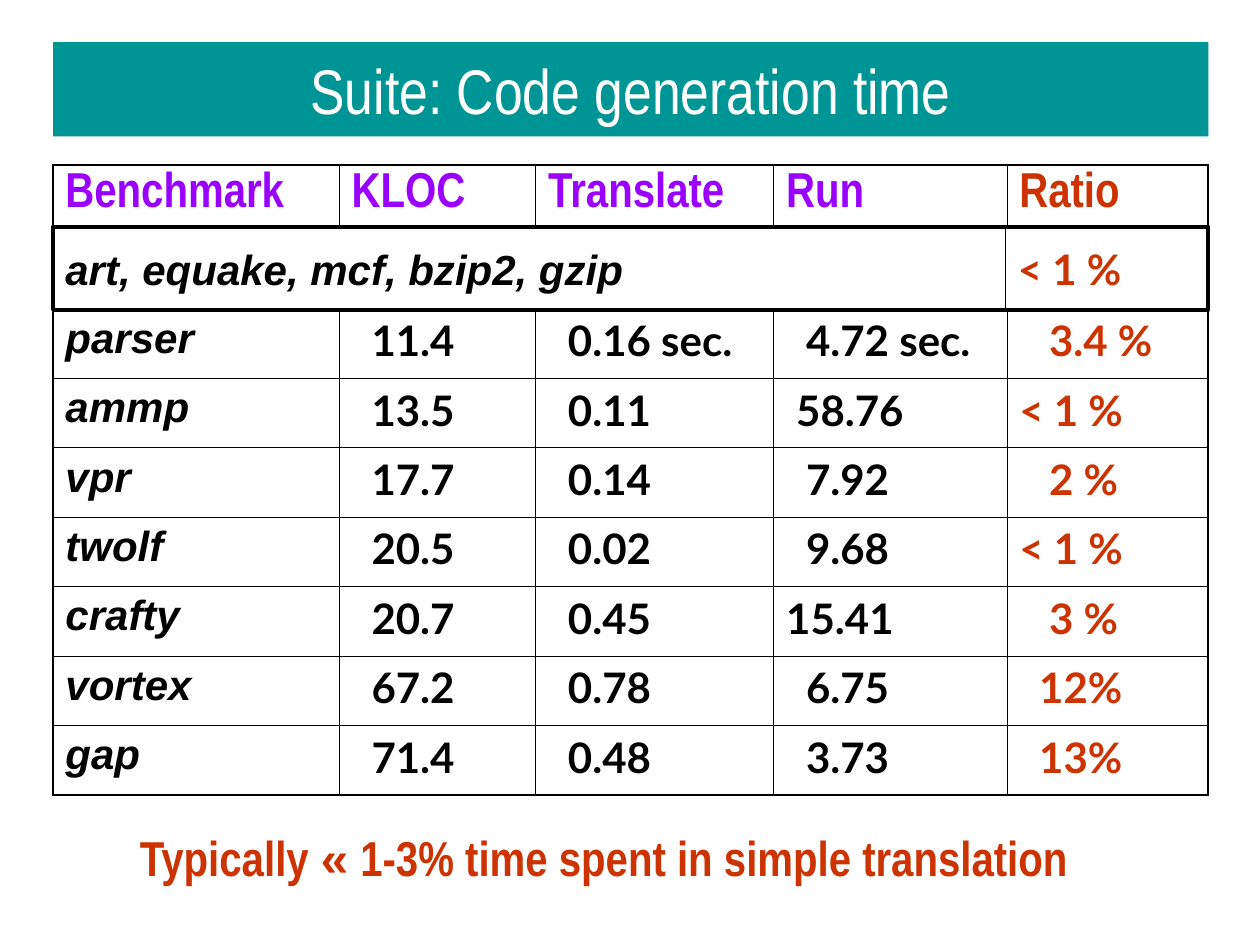
from lxml import etree
from pptx import Presentation
from pptx.dml.color import RGBColor
from pptx.enum.shapes import MSO_CONNECTOR, MSO_SHAPE
from pptx.enum.text import MSO_ANCHOR, MSO_AUTO_SIZE, PP_ALIGN
from pptx.oxml.ns import qn
from pptx.util import Cm, Pt

RECTANGLE = MSO_SHAPE.RECTANGLE
STRAIGHT = MSO_CONNECTOR.STRAIGHT
MIDDLE = MSO_ANCHOR.MIDDLE
LEFT, CENTER = PP_ALIGN.LEFT, PP_ALIGN.CENTER
FIT_SHAPE = MSO_AUTO_SIZE.SHAPE_TO_FIT_TEXT

TEAL = RGBColor(0x00, 0x95, 0x95)
PURPLE = RGBColor(0x99, 0x00, 0xFF)
RUST = RGBColor(0xCC, 0x33, 0x00)
BLACK = RGBColor(0x00, 0x00, 0x00)
WHITE = RGBColor(0xFF, 0xFF, 0xFF)

MARGIN_LEFT, CONTENT_WIDTH = 1.07, 23.29
BAND_TOP, BAND_HEIGHT = 4.57, 1.68
RATIO_LEFT = 20.27
RATIO_TAB = 19.2
CELL_INSET, INDENT_STEP = 0.25, 0.2
COLUMN_WIDTHS = [5.77, 3.96, 4.8, 4.7, 4.06]
HEADER_HEIGHT, GAP_HEIGHT, ROW_HEIGHT = 1.6, 1.3, 1.4
THIN, OUTER = 0.45, 1.08

HEADERS = ["Benchmark", "KLOC", "Translate", "Run", "Ratio"]
RESULTS = [
    ("parser", "11.4", "0.16 sec.", "4.72 sec.", "3.4 %"),
    ("ammp", "13.5", "0.11", "58.76", "< 1 %"),
    ("vpr", "17.7", "0.14", "7.92", "2 %"),
    ("twolf", "20.5", "0.02", "9.68", "< 1 %"),
    ("crafty", "20.7", "0.45", "15.41", "3 %"),
    ("vortex", "67.2", "0.78", "6.75", "12%"),
    ("gap", "71.4", "0.48", "3.73", "13%"),
]
COLUMN_INDENTS = [0, 2, 2, 2, 3]
SPECIAL_INDENTS = {"58.76": 1, "15.41": 0, "< 1 %": 0, "12%": 2, "13%": 2}


def add_span(para, text, *, size, font, color, bold=True, italic=False):
    span = para.add_run()
    span.text = text
    span.font.size = Pt(size)
    span.font.name = font
    span.font.color.rgb = color
    span.font.bold = bold
    span.font.italic = italic


def add_borders(cell, widths):
    properties = cell._tc.get_or_add_tcPr()
    for position, (side, width) in enumerate(widths.items()):
        border = etree.Element(qn(f"a:ln{side}"), w=str(Pt(width)))
        fill = etree.SubElement(border, qn("a:solidFill"))
        etree.SubElement(fill, qn("a:srgbClr"), val=str(BLACK))
        properties.insert(position, border)


class SlideBuilder:
    title = dict(size=36, font="Arial Narrow", color=WHITE, bold=False)
    header = dict(size=28, font="Arial Narrow", color=PURPLE)
    header_ratio = {**header, "color": RUST}
    name = dict(size=24, font="Arial", color=BLACK, italic=True)
    number = dict(size=24, font="Lato", color=BLACK)
    ratio = {**number, "color": RUST}
    caption = dict(size=28, font="Arial Narrow", color=RUST)
    caption_sign = {**caption, "font": "Courier New"}

    def __init__(self, slide):
        self.slide = slide

    def bar(self, top, height, spans, fill, line=None, align=LEFT, tab=None):
        box = self.slide.shapes.add_shape(
            RECTANGLE, Cm(MARGIN_LEFT), Cm(top), Cm(CONTENT_WIDTH), Cm(height))
        box.shadow.inherit = False
        box.fill.solid()
        box.fill.fore_color.rgb = fill
        if line is None:
            box.line.fill.background()
        else:
            box.line.color.rgb = line
            box.line.width = Pt(2.25)
        frame = box.text_frame
        frame.word_wrap = True
        frame.vertical_anchor = MIDDLE
        para = frame.paragraphs[0]
        para.alignment = align
        if tab is not None:
            stops = etree.SubElement(para._p.get_or_add_pPr(), qn("a:tabLst"))
            etree.SubElement(stops, qn("a:tab"), pos=str(Cm(tab)), algn="l")
        for text, style in spans:
            add_span(para, text, **style)

    def text(self, left, top, width, height, spans):
        box = self.slide.shapes.add_textbox(Cm(left), Cm(top), Cm(width), Cm(height))
        box.text_frame.word_wrap = False
        box.text_frame.auto_size = FIT_SHAPE
        for text, style in spans:
            add_span(box.text_frame.paragraphs[0], text, **style)

    def table(self, top, rows, heights):
        last_row, last_column = len(rows) - 1, len(COLUMN_WIDTHS) - 1
        frame = self.slide.shapes.add_table(
            len(rows), len(COLUMN_WIDTHS), Cm(MARGIN_LEFT), Cm(top),
            Cm(CONTENT_WIDTH), Cm(sum(heights)))
        table = frame.table
        table.first_row = table.horz_banding = False
        for column, width in zip(table.columns, COLUMN_WIDTHS):
            column.width = Cm(width)
        for r, (cells, height) in enumerate(zip(rows, heights)):
            table.rows[r].height = Cm(height)
            for c, (text, style, indent) in enumerate(cells):
                cell = table.cell(r, c)
                cell.fill.background()
                cell.margin_left = Cm(CELL_INSET + indent * INDENT_STEP)
                add_borders(cell, {
                    "L": OUTER if c == 0 else THIN,
                    "R": OUTER if c == last_column else THIN,
                    "T": OUTER if r == 0 else THIN,
                    "B": OUTER if r == last_row else THIN,
                })
                if text:
                    add_span(cell.text_frame.paragraphs[0], text, **style)

    def line(self, x, top, bottom):
        line = self.slide.shapes.add_connector(STRAIGHT, Cm(x), Cm(top), Cm(x), Cm(bottom))
        line.line.color.rgb = BLACK
        line.line.width = Pt(1)
        etree.SubElement(line._element.spPr, qn("a:effectLst"))


def main():
    deck = Presentation()
    deck.slide_width, deck.slide_height = Cm(25.4), Cm(19.05)
    page = SlideBuilder(deck.slides.add_slide(deck.slide_layouts[6]))

    page.bar(0.85, 1.9, [("Suite: Code generation time", page.title)], TEAL, align=CENTER)

    header_styles = [page.header] * 4 + [page.header_ratio]
    result_styles = [page.name] + [page.number] * 3 + [page.ratio]
    rows = [
        [(text, style, 0) for text, style in zip(HEADERS, header_styles)],
        [("", page.name, 0)] * len(HEADERS),
    ]
    for result in RESULTS:
        rows.append([
            (text, style, SPECIAL_INDENTS.get(text, indent))
            for text, style, indent in zip(result, result_styles, COLUMN_INDENTS)
        ])
    page.table(3.33, rows, [HEADER_HEIGHT, GAP_HEIGHT] + [ROW_HEIGHT] * len(RESULTS))

    page.bar(BAND_TOP, BAND_HEIGHT, [
        ("art, equake, mcf, bzip2, gzip\t", page.name),
        ("< 1 %", page.ratio),
    ], WHITE, line=BLACK, tab=RATIO_TAB)

    page.text(2.57, 16.56, 19.25, 1.45, [
        ("Typically ", page.caption),
        ("«", page.caption_sign),
        (" 1-3% time spent in simple translation", page.caption),
    ])
    page.line(RATIO_LEFT, BAND_TOP, BAND_TOP + BAND_HEIGHT)
    deck.save("out.pptx")


if __name__ == "__main__":
    main()
